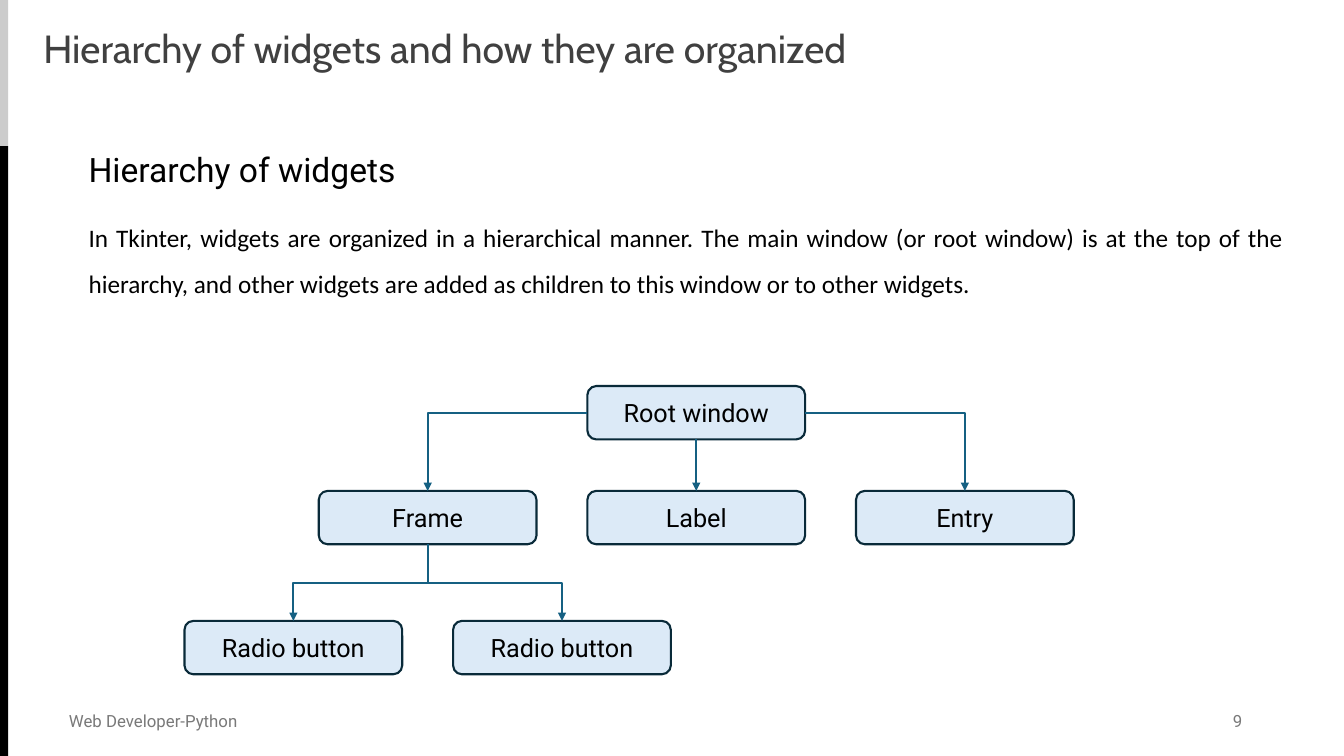
from dataclasses import dataclass

from lxml import etree
from pptx import Presentation
from pptx.dml.color import RGBColor
from pptx.enum.shapes import MSO_CONNECTOR, MSO_SHAPE
from pptx.enum.text import MSO_ANCHOR, MSO_AUTO_SIZE, PP_ALIGN
from pptx.oxml.ns import qn
from pptx.util import Inches, Pt

RECTANGLE, ROUNDED = MSO_SHAPE.RECTANGLE, MSO_SHAPE.ROUNDED_RECTANGLE
STRAIGHT, ELBOW = MSO_CONNECTOR.STRAIGHT, MSO_CONNECTOR.ELBOW
TOP, MIDDLE = MSO_ANCHOR.TOP, MSO_ANCHOR.MIDDLE
LEFT, CENTER = PP_ALIGN.LEFT, PP_ALIGN.CENTER
RIGHT, JUSTIFY = PP_ALIGN.RIGHT, PP_ALIGN.JUSTIFY
NO_AUTOFIT = MSO_AUTO_SIZE.NONE
TITLE_ONLY = 5
TOP_SITE, LEFT_SITE, BOTTOM_SITE, RIGHT_SITE = range(4)
QUARTER_TURN = 90 * 60000
SLIDE_WIDTH, SLIDE_HEIGHT = 13.33, 7.5


@dataclass(frozen=True)
class Theme:
    title_font: str = "Cabin"
    body_font: str = "Calibri"
    label_font: str = "Roboto"
    title_size: int = 28
    heading_size: int = 24
    body_size: int = 18
    footer_size: int = 12
    line_width: float = 1.5
    title: str = "404040"
    text: str = "000000"
    footer: str = "797979"
    node_fill: str = "DCEAF7"
    node_line: str = "092A39"
    arrow: str = "156082"
    bar_top: str = "CCCCCC"
    bar_bottom: str = "000000"


THEME = Theme()

NODES = {
    "root": ("Root window", 3, 0),
    "frame": ("Frame", 1, 1),
    "label": ("Label", 3, 1),
    "entry": ("Entry", 5, 1),
    "first radio": ("Radio button", 0, 2),
    "second radio": ("Radio button", 2, 2),
}
BRANCHES = [
    ("root", RIGHT_SITE, "entry"),
    ("root", LEFT_SITE, "frame"),
    ("root", BOTTOM_SITE, "label"),
    ("frame", BOTTOM_SITE, "first radio"),
    ("frame", BOTTOM_SITE, "second radio"),
]


def apply_format(target, values):
    for name, value in values.items():
        setattr(target, name, value)


def place(shape, box):
    names = ("left", "top", "width", "height")
    apply_format(shape, dict(zip(names, map(Inches, box))))


def write(shape, wording, font, size, color, align=LEFT, anchor=TOP, spacing=1.0):
    frame = shape.text_frame
    frame.text = wording
    apply_format(frame, {"word_wrap": True, "auto_size": NO_AUTOFIT, "vertical_anchor": anchor})
    paragraph = frame.paragraphs[0]
    apply_format(paragraph, {"alignment": align, "line_spacing": spacing})
    apply_format(paragraph.font, {"name": font, "size": Pt(size)})
    paragraph.font.color.rgb = RGBColor.from_string(color)


def add_block(slide, kind, box, fill):
    block = slide.shapes.add_shape(kind, *map(Inches, box))
    block.shadow.inherit = False
    block.fill.solid()
    block.fill.fore_color.rgb = RGBColor.from_string(fill)
    block.line.fill.background()
    return block


def add_text(slide, box, *wording_and_style, **layout):
    write(slide.shapes.add_textbox(*map(Inches, box)), *wording_and_style, **layout)


def build_side_bar(slide, box):
    left, top, width, height = box
    split = 1.45
    add_block(slide, RECTANGLE, (left, top, width, split), THEME.bar_top)
    add_block(slide, RECTANGLE, (left, top + split, width, height - split), THEME.bar_bottom)


def build_title(slide, box):
    title = slide.shapes.title
    place(title, box)
    write(title, "Hierarchy of widgets and how they are organized",
          THEME.title_font, THEME.title_size, THEME.title)


def build_introduction(slide, box):
    left, top, width, height = box
    add_text(slide, (left, top, 5.04, 0.64), "Hierarchy of widgets",
             THEME.label_font, THEME.heading_size, THEME.text, align=JUSTIFY, spacing=1.5)
    add_text(slide, (left, top + 0.78, width, height - 0.78),
             "In Tkinter, widgets are organized in a hierarchical manner. "
             "The main window (or root window) is at the top of the hierarchy, "
             "and other widgets are added as children to this window or to other widgets.",
             THEME.body_font, THEME.body_size, THEME.text, align=JUSTIFY, spacing=1.5)


def add_node(slide, box, wording):
    node = add_block(slide, ROUNDED, box, THEME.node_fill)
    node.line.color.rgb = RGBColor.from_string(THEME.node_line)
    node.line.width = Pt(THEME.line_width)
    write(node, wording, THEME.label_font, THEME.body_size, THEME.text,
          align=CENTER, anchor=MIDDLE)
    return node


def turn_downward(arrow):
    left, top, width, height = arrow.left, arrow.top, arrow.width, arrow.height
    apply_format(arrow, {
        "left": left + (width - height) // 2,
        "top": top + (height - width) // 2,
        "width": height,
        "height": width,
    })
    transform = arrow._element.spPr.find(qn("a:xfrm"))
    leftward = transform.get("flipH") == "1"
    transform.set("rot", str(QUARTER_TURN if leftward else 3 * QUARTER_TURN))
    transform.set("flipH", "0" if leftward else "1")


def add_branch(slide, parent, site, child):
    aligned = parent.left == child.left
    arrow = slide.shapes.add_connector(STRAIGHT if aligned else ELBOW, 0, 0, 0, 0)
    arrow.begin_connect(parent, site)
    arrow.end_connect(child, TOP_SITE)
    properties = arrow._element.spPr
    if site != BOTTOM_SITE:
        properties.find(qn("a:prstGeom")).set("prst", "bentConnector2")
    elif not aligned:
        turn_downward(arrow)
    arrow.line.color.rgb = RGBColor.from_string(THEME.arrow)
    arrow.line.width = Pt(THEME.line_width)
    etree.SubElement(properties.find(qn("a:ln")), qn("a:tailEnd"), type="triangle")
    etree.SubElement(properties, qn("a:effectLst"))


def build_widget_tree(slide, box):
    left, top, width, height = box
    node_width, node_height = 2.16, 0.53
    column_step = (width - node_width) / 5
    row_offsets = (0, 1.04, height - node_height)
    nodes = {}
    for key, (wording, column, row) in NODES.items():
        node_box = (left + column * column_step, top + row_offsets[row], node_width, node_height)
        nodes[key] = add_node(slide, node_box, wording)
    for parent, site, child in BRANCHES:
        add_branch(slide, nodes[parent], site, nodes[child])


def build_footer(slide, box):
    left, top, width, height = box
    style = (THEME.label_font, THEME.footer_size, THEME.footer)
    add_text(slide, (left, top, 4.5, height), "Web Developer-Python", *style,
             align=CENTER, anchor=MIDDLE)
    add_text(slide, (left + width - 3, top, 3, height), "9", *style,
             align=RIGHT, anchor=MIDDLE)


def main():
    deck = Presentation()
    deck.slide_width, deck.slide_height = Inches(SLIDE_WIDTH), Inches(SLIDE_HEIGHT)
    slide = deck.slides.add_slide(deck.slide_layouts[TITLE_ONLY])
    build_side_bar(slide, (0, 0, 0.08, SLIDE_HEIGHT))
    build_title(slide, (0.33, 0.19, 11.54, 0.57))
    build_introduction(slide, (0.78, 1.23, 12.05, 1.74))
    build_widget_tree(slide, (1.83, 3.83, 8.82, 2.86))
    build_footer(slide, (-0.73, 6.95, 13.15, 0.4))
    deck.save("out.pptx")


if __name__ == "__main__":
    main()
